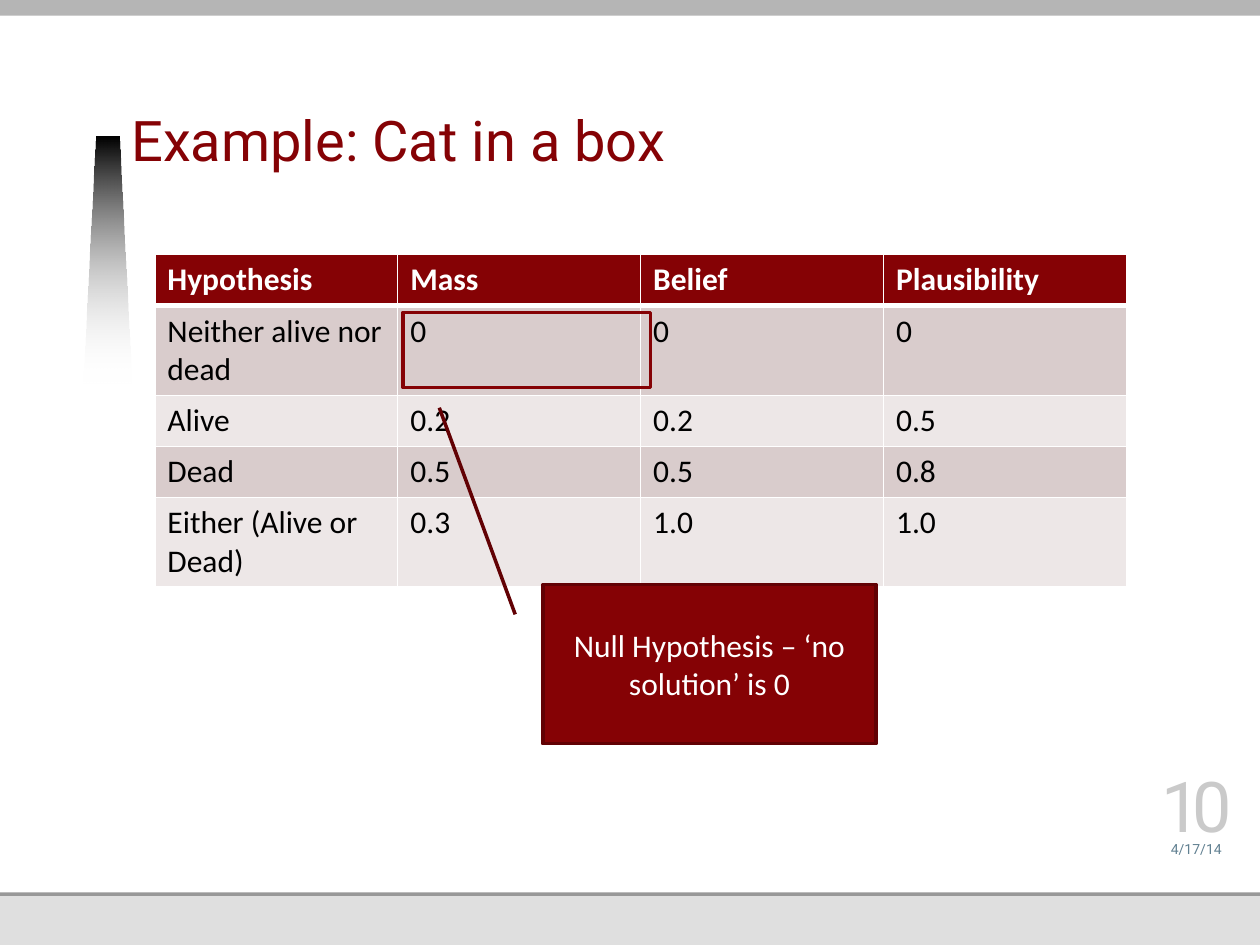
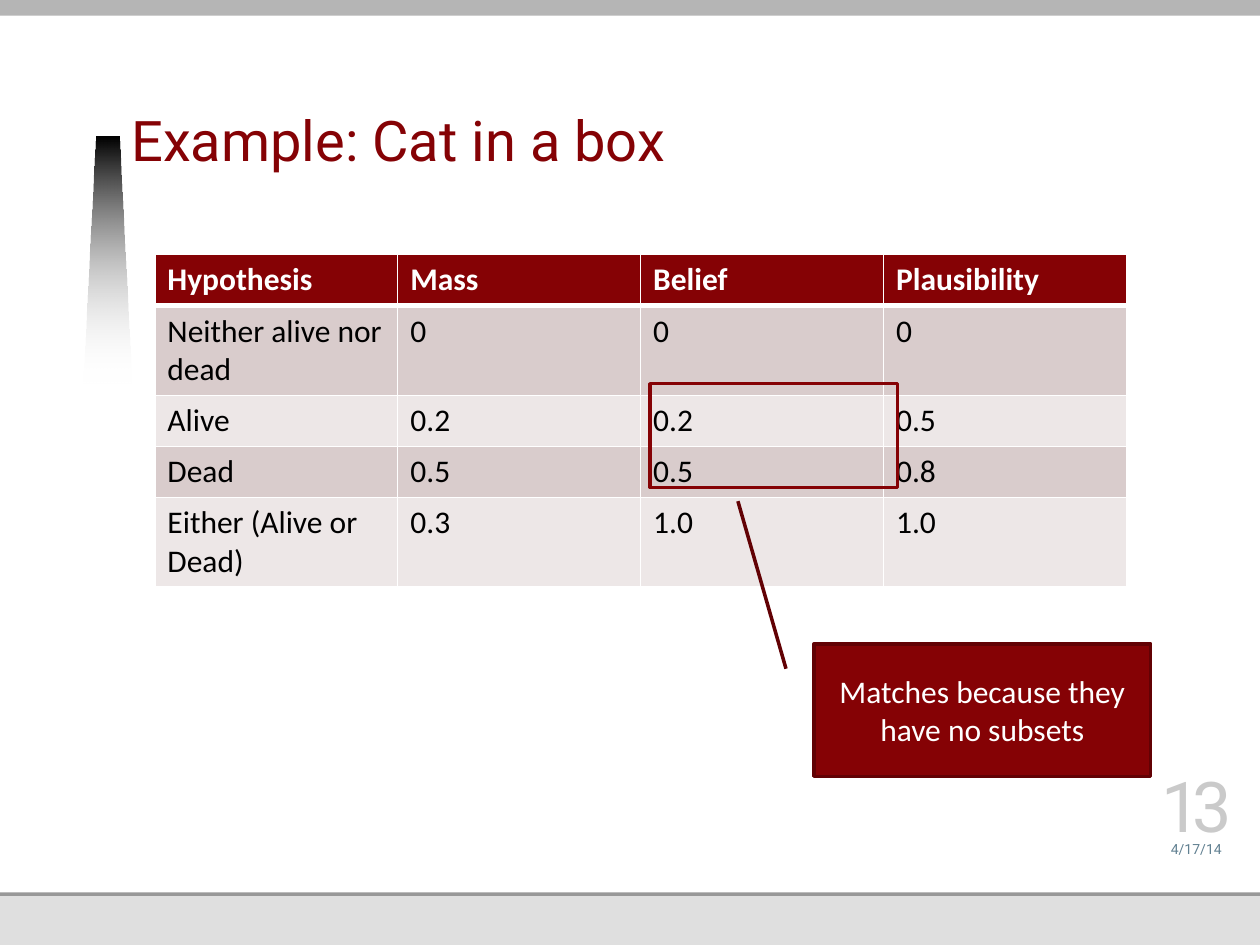
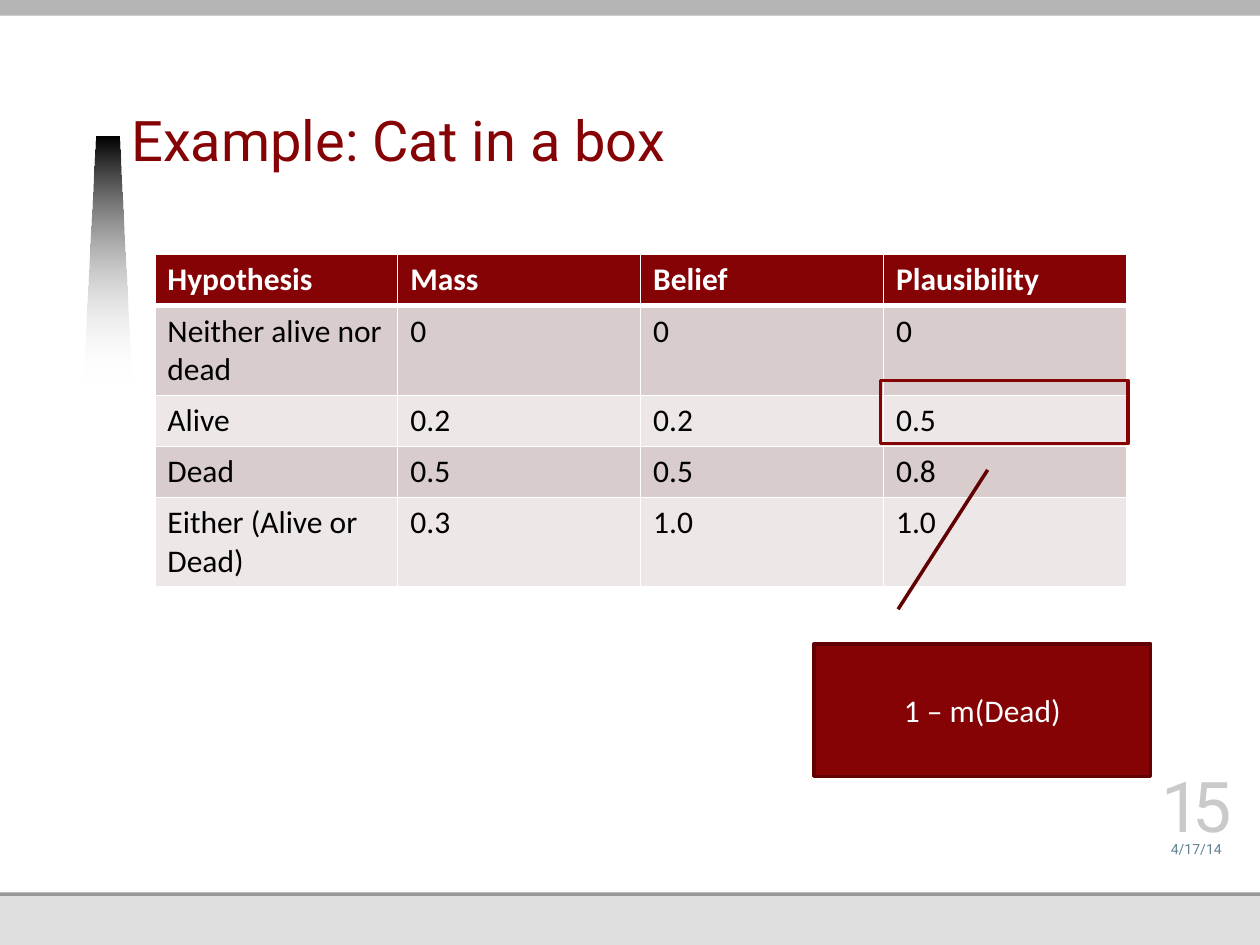
from collections import namedtuple
from dataclasses import dataclass

from lxml.etree import SubElement
from pptx import Presentation
from pptx.dml.color import RGBColor
from pptx.enum.shapes import MSO_SHAPE
from pptx.enum.text import MSO_ANCHOR, PP_ALIGN
from pptx.oxml.ns import qn
from pptx.util import Pt

Box = namedtuple("Box", "left top width height")
Example = namedtuple("Example", "number highlight callout pointer remark")


@dataclass(frozen=True)
class Theme:
    """Colours, fonts and type sizes of the deck."""
    maroon: str = "850205"
    dark_maroon: str = "620104"
    white: str = "FFFFFF"
    black: str = "000000"
    odd_row: str = "D9CCCC"
    even_row: str = "EDE7E7"
    base: str = "DFDFDF"
    rule: str = "989898"
    band: str = "B5B5B5"
    date: str = "618091"
    number: str = "CACACA"
    heading_font: str = "Roboto"
    body_font: str = "Calibri"
    title_size: int = 32
    body_size: int = 18
    date_size: int = 8
    number_size: int = 40


THEME = Theme()
PAGE = Box(0, 0, 720, 540)
TITLE = Box(75, 24.5, 494.5, 77.75)
TABLE = Box(88.5, 145.5, 555.2, 146)
FOOTER = Box(657.4, 443.5, 52.5, 46.1)
CORNER_CALLOUT = Box(465.1, 367.9, 192.4, 75.7)
HYPOTHESES = (
    ("Hypothesis", "Mass", "Belief", "Plausibility"),
    ("Neither alive nor dead", "0", "0", "0"),
    ("Alive", "0.2", "0.2", "0.5"),
    ("Dead", "0.5", "0.5", "0.8"),
    ("Either (Alive or Dead)", "0.3", "1.0", "1.0"),
)
EXAMPLES = (
    Example("10", Box(230.3, 178.5, 141.4, 43), Box(310.2, 334, 190.4, 91),
            (0.188, -0.083, -1.11, -0.311), "Null Hypothesis – ‘no solution’ is 0"),
    Example("13", Box(371.6, 219.3, 141.4, 59.3), CORNER_CALLOUT,
            (0.188, -0.083, -1.077, -0.226), "Matches because they have no subsets"),
    Example("15", Box(503.2, 217.5, 141.4, 36), CORNER_CALLOUT,
            (-0.261, 0.25, -1.313, 0.516), "1 – m(Dead)"),
)


def apply(target, **values):
    """Set each named attribute on the target."""
    for attribute, value in values.items():
        setattr(target, attribute, value)


def lengths(box):
    """Return a box as point lengths."""
    return [Pt(value) for value in box]


def write(frame, words, color, size, font, bold=False, align=PP_ALIGN.LEFT):
    """Write one formatted paragraph and return it."""
    paragraph = frame.paragraphs[0]
    paragraph.alignment = align
    run = paragraph.add_run()
    run.text = words
    apply(run.font, name=font, size=Pt(size), bold=bold)
    run.font.color.rgb = RGBColor.from_string(color)
    return paragraph


def add_block(slide, box, fill=None, line=None, kind=MSO_SHAPE.RECTANGLE):
    """Add a flat preset shape with an optional fill and outline."""
    block = slide.shapes.add_shape(kind, *lengths(box))
    block.shadow.inherit = False
    if fill:
        block.fill.solid()
        block.fill.fore_color.rgb = RGBColor.from_string(fill)
    else:
        block.fill.background()
    if line:
        block.line.color.rgb = RGBColor.from_string(line)
        block.line.width = Pt(2)
    else:
        block.line.fill.background()
    return block


def add_wedge(slide, box):
    """Add the tapering wedge that fades out downwards."""
    taper = box.width / 4
    right, bottom = box.left + box.width, box.top + box.height
    outline = slide.shapes.build_freeform(box.left, bottom, scale=Pt(1))
    outline.add_line_segments([(box.left + taper, box.top),
                               (right - taper, box.top), (right, bottom)])
    wedge = outline.convert_to_shape()
    wedge.shadow.inherit = False
    wedge.line.fill.background()
    wedge.fill.gradient()
    wedge.fill.gradient_angle = 270
    for stop, color in zip(wedge.fill.gradient_stops, (THEME.black, THEME.white)):
        stop.color.rgb = RGBColor.from_string(color)
    faded = list(wedge.element.iter(qn("a:srgbClr")))[-1]
    SubElement(faded, qn("a:alpha"), val="0")
    return wedge


def build_backdrop(slide, box):
    """Draw the shared bands and wedge and hand them to the layout."""
    layout = slide.slide_layout
    for placeholder in list(layout.placeholders):
        if placeholder.placeholder_format.idx:
            placeholder.element.getparent().remove(placeholder.element)
    panel = box._replace(height=510)
    parts = [
        add_block(slide, box, THEME.base),
        add_block(slide, Box(box.left, box.top + 128, box.width, 384), THEME.rule),
        add_block(slide, panel, THEME.white),
        add_wedge(slide, Box(box.left + 48, box.top + 77.75, 27, 141.5)),
        add_block(slide, Box(box.left, box.top - 3, box.width + 12, 12), THEME.band),
    ]
    for part in parts:
        layout.shapes.element.append(part.element)


def place_title(slide, box, words):
    """Position and format the title placeholder."""
    title = slide.shapes.title
    apply(title, **dict(zip(box._fields, lengths(box))))
    apply(title.text_frame, margin_left=0, margin_top=0, margin_right=0,
          margin_bottom=Pt(3.6), vertical_anchor=MSO_ANCHOR.BOTTOM, word_wrap=True)
    heading = write(title.text_frame, words, THEME.maroon, THEME.title_size,
                    THEME.heading_font)
    heading.line_spacing = Pt(34)


def add_borders(cell, widths):
    """Give a cell white borders of the given point widths."""
    properties = cell._tc.get_or_add_tcPr()
    for place, (side, width) in enumerate(widths.items()):
        border = SubElement(properties, qn(f"a:ln{side}"), w=str(Pt(width)))
        paint = SubElement(border, qn("a:solidFill"))
        SubElement(paint, qn("a:srgbClr"), val=THEME.white)
        properties.insert(place, border)


def add_hypotheses(slide, box):
    """Add the table of mass, belief and plausibility."""
    columns = len(HYPOTHESES[0])
    table = slide.shapes.add_table(len(HYPOTHESES), columns, *lengths(box)).table
    for column in table.columns:
        column.width = Pt(box.width / columns)
    for index, entries in enumerate(HYPOTHESES):
        table.rows[index].height = Pt(box.height / len(HYPOTHESES))
        header = index == 0
        shade = THEME.odd_row if index % 2 else THEME.even_row
        borders = {"L": 1, "R": 1, "T": 3 if index == 1 else 1, "B": 3 if header else 1}
        for cell, entry in zip(table.rows[index].cells, entries):
            cell.fill.solid()
            cell.fill.fore_color.rgb = RGBColor.from_string(
                THEME.maroon if header else shade)
            add_borders(cell, borders)
            write(cell.text_frame, entry, THEME.white if header else THEME.black,
                  THEME.body_size, THEME.body_font, bold=header)


def add_footer(slide, box, number):
    """Add the date and the slide number above it."""
    date_box = Box(box.left, box.top + 30.3, box.width, 15.8)
    number_box = box._replace(height=40.3)
    for place, words, color, size in (
            (date_box, "4/17/14", THEME.date, THEME.date_size),
            (number_box, number, THEME.number, THEME.number_size)):
        frame = slide.shapes.add_textbox(*lengths(place)).text_frame
        apply(frame, margin_left=0, margin_top=0, margin_right=0, margin_bottom=0,
              vertical_anchor=MSO_ANCHOR.BOTTOM, word_wrap=True)
        line = write(frame, words, color, size, THEME.heading_font,
                     align=PP_ALIGN.CENTER)
    line.runs[0].font._element.set("spc", "-500")


def add_callout(slide, box, pointer, remark):
    """Add a remark whose pointer reaches towards the highlighted cells."""
    callout = add_block(slide, box, THEME.maroon, THEME.dark_maroon,
                        MSO_SHAPE.LINE_CALLOUT_1)
    for index, ratio in enumerate(pointer):
        callout.adjustments[index] = ratio
    apply(callout.text_frame, vertical_anchor=MSO_ANCHOR.MIDDLE, word_wrap=True)
    write(callout.text_frame, remark, THEME.white, THEME.body_size,
          THEME.body_font, align=PP_ALIGN.CENTER)


def build_example(slide, example):
    """Fill one slide of the cat example."""
    place_title(slide, TITLE, "Example: Cat in a box")
    add_hypotheses(slide, TABLE)
    add_footer(slide, FOOTER, example.number)
    add_block(slide, example.highlight, line=THEME.maroon)
    add_callout(slide, example.callout, example.pointer, example.remark)


def main():
    """Build and save the deck."""
    deck = Presentation()
    apply(deck, slide_width=Pt(PAGE.width), slide_height=Pt(PAGE.height))
    title_only = deck.slide_layouts[5]
    slides = [deck.slides.add_slide(title_only) for _ in EXAMPLES]
    build_backdrop(slides[0], PAGE)
    for slide, example in zip(slides, EXAMPLES):
        build_example(slide, example)
    deck.save("out.pptx")


if __name__ == "__main__":
    main()
